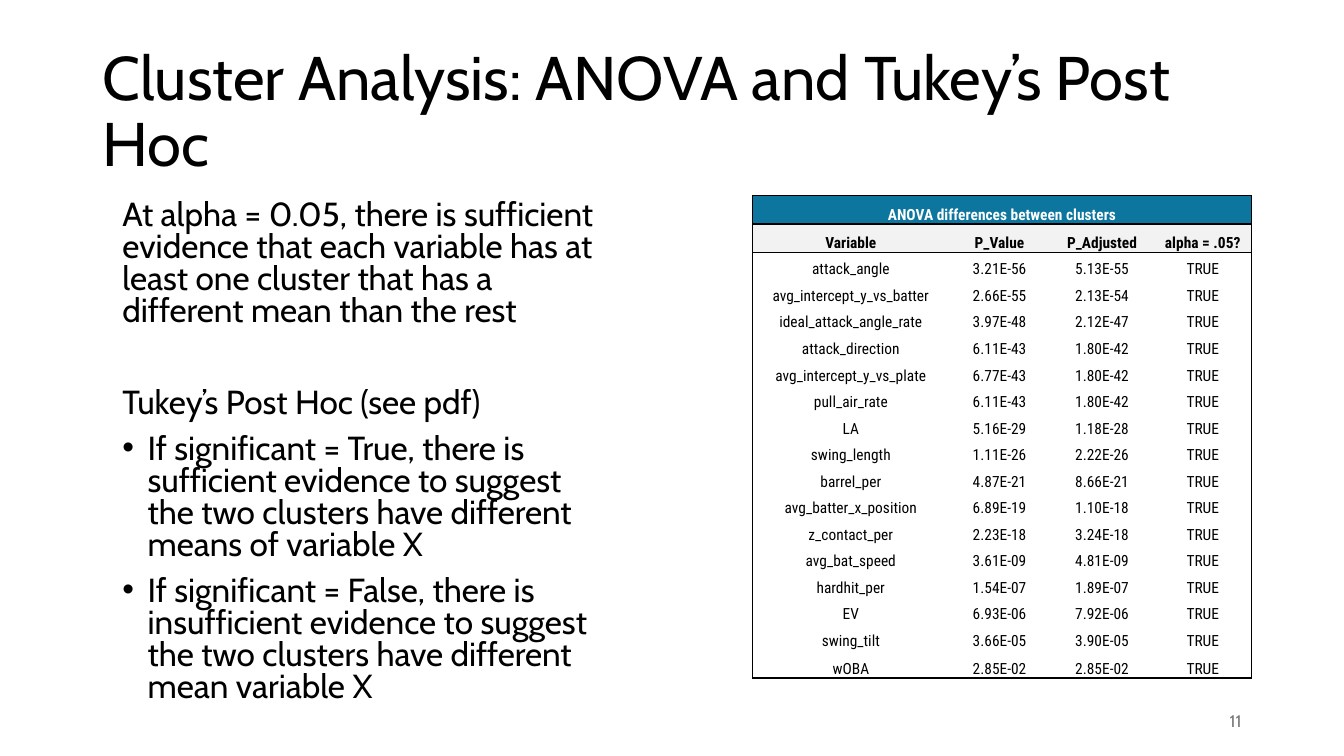
"""Build the slide on ANOVA and Tukey's post hoc results for the clusters."""
import pptx
import pptx.dml.color
import pptx.enum.text
import pptx.oxml
import pptx.oxml.ns
import pptx.util

COLOR = pptx.dml.color.RGBColor.from_string
ALIGN = pptx.enum.text.PP_ALIGN
ANCHOR = pptx.enum.text.MSO_ANCHOR
THEME = {
    "ink": "000000", "white": "FFFFFF", "muted": "797979",
    "banner": "0C769E", "header": "F2F2F2",
    "text_font": "Cabin", "table_font": "Roboto Condensed",
    "title_size": 44, "body_size": 23.8, "number_size": 12, "table_size": 11,
}
CELL = pptx.util.Inches(1) // 12
COLUMNS, ROWS = 160, 90
BLANK_LAYOUT = 6


def grid(*counts):
    """Turn grid counts into lengths."""
    return [pptx.util.Emu(round(count * CELL)) for count in counts]


def write(para, text, font, size, color, bold=False, **paragraph_format):
    """Put one formatted run in a paragraph."""
    for name, value in paragraph_format.items():
        setattr(para, name, value)
    span = para.add_run()
    span.text = text
    looks = {"name": font, "size": pptx.util.Pt(size), "bold": bold}
    for name, value in looks.items():
        setattr(span.font, name, value)
    span.font.color.rgb = COLOR(color)


deck = pptx.Presentation()
deck.slide_width, deck.slide_height = grid(COLUMNS, ROWS)
page = deck.slides.add_slide(deck.slide_layouts[BLANK_LAYOUT])

body_format = {"line_spacing": 0.8}
boxes = [
    ((11, 4.8, 141, 17.4), ANCHOR.MIDDLE, "title_size", "ink", [
        ("Cluster Analysis: ANOVA and Tukey’s Post Hoc", False, 0, {"line_spacing": 0.9}),
    ]),
    ((13.4, 23.3, 60.6, 61.9), ANCHOR.TOP, "body_size", "ink", [
        ("At alpha = 0.05, there is sufficient evidence that each variable has "
         "at least one cluster that has a different mean than the rest", False, 0, body_format),
        ("Tukey’s Post Hoc (see pdf)", False, 43, body_format),
        ("If significant = True, there is sufficient evidence to suggest the two "
         "clusters have different means of variable X", True, 10, body_format),
        ("If significant = False, there is insufficient evidence to suggest the two "
         "clusters have different mean variable X", True, 10, body_format),
    ]),
    ((113, 83.4, 36, 4.8), ANCHOR.MIDDLE, "number_size", "muted", [
        ("11", False, 0, {"alignment": ALIGN.RIGHT}),
    ]),
]
for place, anchor, size, color, lines in boxes:
    frame = page.shapes.add_textbox(*grid(*place)).text_frame
    frame.word_wrap = True
    frame.vertical_anchor = anchor
    for index, (text, bulleted, gap, paragraph_format) in enumerate(lines):
        para = frame.add_paragraph() if index else frame.paragraphs[0]
        para.space_before = pptx.util.Pt(gap)
        if bulleted:
            indent = grid(3)[0]
            properties = para._p.get_or_add_pPr()
            properties.set("marL", str(indent))
            properties.set("indent", str(-indent))
            properties.append(pptx.oxml.parse_xml(
                f'<a:buFont {pptx.oxml.ns.nsdecls("a")} typeface="Arial"/>'))
            properties.append(pptx.oxml.parse_xml(
                f'<a:buChar {pptx.oxml.ns.nsdecls("a")} char="•"/>'))
        write(para, text, THEME["text_font"], THEME[size], THEME[color], **paragraph_format)

results = [
    ("attack_angle", "3.21E-56", "5.13E-55"),
    ("avg_intercept_y_vs_batter", "2.66E-55", "2.13E-54"),
    ("ideal_attack_angle_rate", "3.97E-48", "2.12E-47"),
    ("attack_direction", "6.11E-43", "1.80E-42"),
    ("avg_intercept_y_vs_plate", "6.77E-43", "1.80E-42"),
    ("pull_air_rate", "6.11E-43", "1.80E-42"),
    ("LA", "5.16E-29", "1.18E-28"),
    ("swing_length", "1.11E-26", "2.22E-26"),
    ("barrel_per", "4.87E-21", "8.66E-21"),
    ("avg_batter_x_position", "6.89E-19", "1.10E-18"),
    ("z_contact_per", "2.23E-18", "3.24E-18"),
    ("avg_bat_speed", "3.61E-09", "4.81E-09"),
    ("hardhit_per", "1.54E-07", "1.89E-07"),
    ("EV", "6.93E-06", "7.92E-06"),
    ("swing_tilt", "3.66E-05", "3.90E-05"),
    ("wOBA", "2.85E-02", "2.85E-02"),
]
table_rows = [
    ("ANOVA differences between clusters", "", "", ""),
    ("Variable", "P_Value", "P_Adjusted", "alpha = .05?"),
    *[(*result, "TRUE") for result in results],
]
column_widths = grid(23.4, 12, 12.4, 11.6)
end_height, inner_height = grid(3.36, 3.16)
last_row, last_column = len(table_rows) - 1, len(column_widths) - 1
margin = grid(0.11)[0]
cell_format = {"margin_left": margin, "margin_right": margin, "margin_top": margin,
               "margin_bottom": 0, "vertical_anchor": ANCHOR.BOTTOM}

table = page.shapes.add_table(
    len(table_rows), len(column_widths), *grid(89.6, 23.3, 59.4, 57.48)).table
table.first_row = table.horz_banding = False
for column, width in zip(table.columns, column_widths):
    column.width = width
table.cell(0, 0).merge(table.cell(0, last_column))

for row_index, row in enumerate(table_rows):
    banner, heading = row_index == 0, row_index < 2
    table.rows[row_index].height = end_height if heading or row_index == last_row else inner_height
    for column_index, text in enumerate(row):
        cell = table.cell(row_index, column_index)
        for name, value in cell_format.items():
            setattr(cell, name, value)
        edges = {
            "lnL": banner or column_index == 0,
            "lnR": banner or column_index == last_column,
            "lnT": row_index <= 2,
            "lnB": heading or row_index == last_row,
        }
        for edge, drawn in edges.items():
            paint = (f'<a:solidFill><a:srgbClr val="{THEME["ink"]}"/></a:solidFill>'
                     if drawn else "<a:noFill/>")
            cell._tc.get_or_add_tcPr().append(pptx.oxml.parse_xml(
                f'<a:{edge} {pptx.oxml.ns.nsdecls("a")} w="{pptx.util.Pt(1)}">{paint}</a:{edge}>'))
        if heading:
            cell.fill.solid()
            cell.fill.fore_color.rgb = COLOR(THEME["banner" if banner else "header"])
        else:
            cell.fill.background()
        if text:
            write(cell.text_frame.paragraphs[0], text, THEME["table_font"], THEME["table_size"],
                  THEME["white" if banner else "ink"], heading, alignment=ALIGN.CENTER)

deck.save("out.pptx")
